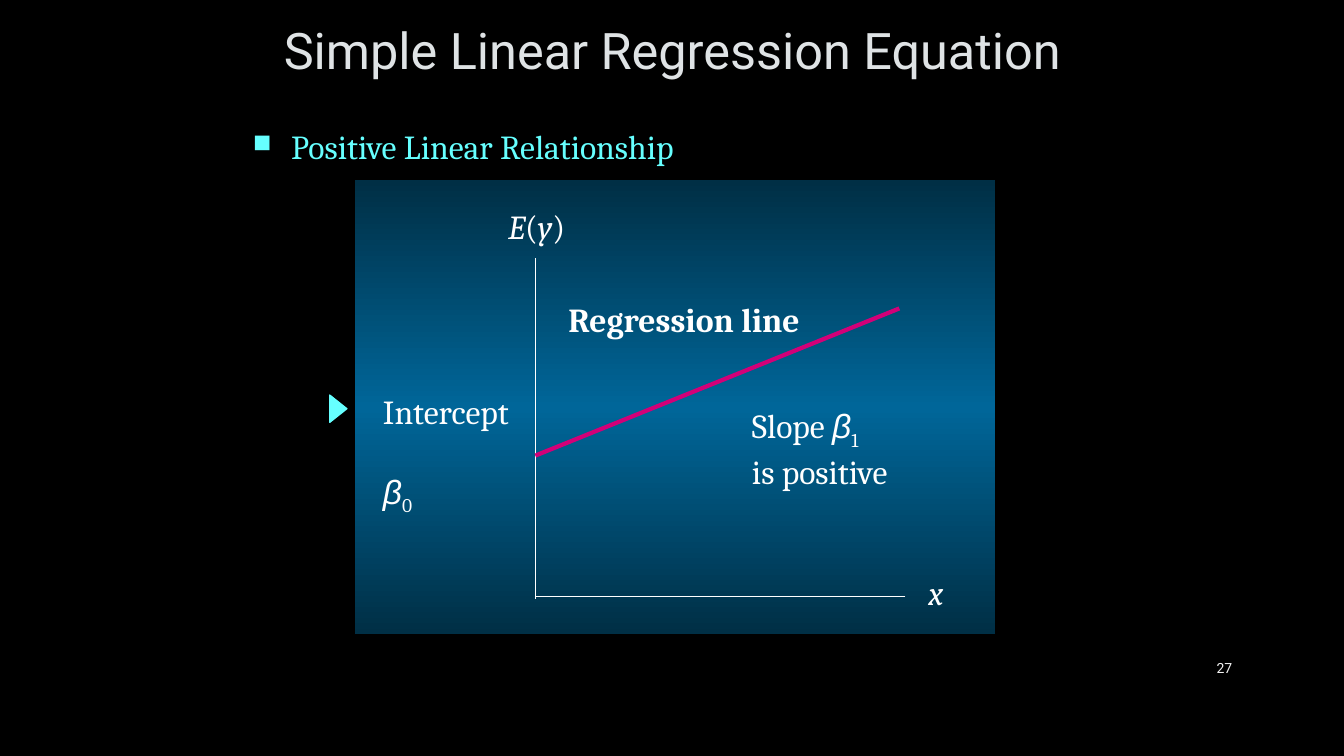
from copy import deepcopy
from dataclasses import dataclass

from pptx import Presentation
from pptx.dml.color import RGBColor
from pptx.enum.shapes import MSO_CONNECTOR, MSO_SHAPE
from pptx.enum.text import MSO_ANCHOR, PP_ALIGN
from pptx.oxml.ns import qn
from pptx.util import Inches, Pt
from lxml import etree

STRAIGHT = MSO_CONNECTOR.STRAIGHT
RECTANGLE, TRIANGLE = MSO_SHAPE.RECTANGLE, MSO_SHAPE.ISOSCELES_TRIANGLE
TOP, MIDDLE = MSO_ANCHOR.TOP, MSO_ANCHOR.MIDDLE
LEFT, CENTER, RIGHT = PP_ALIGN.LEFT, PP_ALIGN.CENTER, PP_ALIGN.RIGHT


@dataclass(frozen=True)
class Theme:
    background: str = "000000"
    title: str = "DFE3E5"
    accent: str = "66FFFF"
    text: str = "FFFFFF"
    number: str = "F2F2F2"
    regression: str = "D20078"
    panel_edge: str = "002F45"
    panel_middle: str = "006699"
    heading_font: str = "Roboto"
    body_font: str = "Cambria"
    greek_font: str = "Arial"
    title_size: int = 36
    body_size: int = 24
    number_size: int = 10


THEME = Theme()
ITALIC = {"italic": True}
GREEK = {"italic": True, "name": THEME.greek_font}


def add_text(page, box, paragraphs, color=THEME.text, align=LEFT, anchor=TOP, **base):
    """Each paragraph is a list of (text, font values, subscript) spans."""
    frame = page.shapes.add_textbox(*map(Inches, box)).text_frame
    frame.word_wrap = True
    frame.vertical_anchor = anchor
    for index, spans in enumerate(paragraphs):
        para = frame.paragraphs[0] if index == 0 else frame.add_paragraph()
        para.alignment = align
        for text, values, subscript in spans:
            span = para.add_run()
            span.text = text
            style = {"name": THEME.body_font, "size": Pt(THEME.body_size), **base, **values}
            for name, value in style.items():
                setattr(span.font, name, value)
            span.font.color.rgb = RGBColor.from_string(color)
            if subscript:
                span.font._element.set("baseline", "-25000")
    return frame


def add_line(page, start, end, color, width):
    line = page.shapes.add_connector(STRAIGHT, *map(Inches, start + end))
    line.line.color.rgb = RGBColor.from_string(color)
    line.line.width = Pt(width)
    etree.SubElement(line._element.spPr, qn("a:effectLst"))


def add_title(page, box):
    add_text(page, box, [[("Simple Linear Regression Equation", {}, False)]],
             THEME.title, CENTER, MIDDLE,
             name=THEME.heading_font, size=Pt(THEME.title_size))


def add_bullet(page, box):
    frame = add_text(page, box, [[("Positive Linear Relationship", {}, False)]], THEME.accent)
    para = frame.paragraphs[0]
    para.space_before = Pt(5)
    props = para._p.get_or_add_pPr()
    props.set("marL", str(Inches(0.38)))
    props.set("indent", str(Inches(-0.38)))
    color = etree.SubElement(props, qn("a:buClr"))
    etree.SubElement(color, qn("a:srgbClr"), val=THEME.accent)
    etree.SubElement(props, qn("a:buSzPct"), val="75000")
    etree.SubElement(props, qn("a:buChar"), char="■")


def add_panel(page, box):
    panel = page.shapes.add_shape(RECTANGLE, *map(Inches, box))
    panel.shadow.inherit = False
    panel.line.fill.background()
    panel.fill.gradient()
    panel.fill.gradient_angle = 90
    # A third stop makes the gradient symmetric
    stop_list = panel._element.spPr.find(".//" + qn("a:gsLst"))
    stop_list.append(deepcopy(stop_list[0]))
    colors = (THEME.panel_edge, THEME.panel_middle, THEME.panel_edge)
    for index, (stop, color) in enumerate(zip(panel.fill.gradient_stops, colors)):
        stop.position = index / 2
        stop.color.rgb = RGBColor.from_string(color)


def add_diagram(page, box):
    left, top = box[:2]

    def at(x, y):
        return left + x, top + y

    add_panel(page, box)

    # Axes and regression line
    add_line(page, at(1.79, 0.77), at(1.79, 4.15), THEME.text, 0.5)
    add_line(page, at(5.46, 4.13), at(1.79, 4.13), THEME.text, 0.5)
    add_line(page, at(1.79, 2.73), at(5.4, 1.27), THEME.regression, 3)

    # Axis names and labels
    labels = [
        (1.42, 0.2, 0.79, 0.5, [[("E", ITALIC, False), ("(", {}, False),
                                 ("y", ITALIC, False), (")", {}, False)]]),
        (5.59, 3.83, 0.37, 0.5, [[("x", ITALIC, False)]]),
        (3.84, 2.18, 1.71, 0.91, [[("Slope ", {}, False), ("β", GREEK, False), ("1", {}, True)],
                                  [("is positive", {}, False)]]),
        (2.02, 1.13, 2.56, 0.5, [[("Regression line", {"bold": True}, False)]]),
    ]
    for x, y, width, height, paragraphs in labels:
        add_text(page, at(x, y) + (width, height), paragraphs)

    # Intercept label, with its symbol set one line lower
    intercept = add_text(page, at(0.18, 2.04) + (1.59, 0.91),
                         [[("Intercept", {}, False)],
                          [("β", GREEK, False), ("0", {}, True)]])
    intercept.paragraphs[1].space_before = Pt(28)

    # Pointer at the panel's left edge
    pointer = page.shapes.add_shape(TRIANGLE, *map(Inches, at(-0.3, 2.18) + (0.27, 0.17)))
    pointer.rotation = 90
    pointer.shadow.inherit = False
    pointer.fill.solid()
    pointer.fill.fore_color.rgb = RGBColor.from_string(THEME.accent)
    pointer.line.color.rgb = RGBColor.from_string(THEME.accent)
    pointer.line.width = Pt(1)


def add_page_number(page, box):
    add_text(page, box, [[("27", {}, False)]], THEME.number, RIGHT, MIDDLE,
             name=THEME.heading_font, size=Pt(THEME.number_size))


def main():
    deck = Presentation()
    deck.slide_width, deck.slide_height = Inches(13.33), Inches(7.5)
    page = deck.slides.add_slide(deck.slide_layouts[6])
    page.background.fill.solid()
    page.background.fill.fore_color.rgb = RGBColor.from_string(THEME.background)
    add_title(page, (2.42, 0.04, 8.5, 0.89))
    add_bullet(page, (2.41, 1.2, 8.5, 0.55))
    add_diagram(page, (3.52, 1.79, 6.35, 4.5))
    add_page_number(page, (11.5, 6.43, 0.82, 0.4))
    deck.save("out.pptx")


if __name__ == "__main__":
    main()
